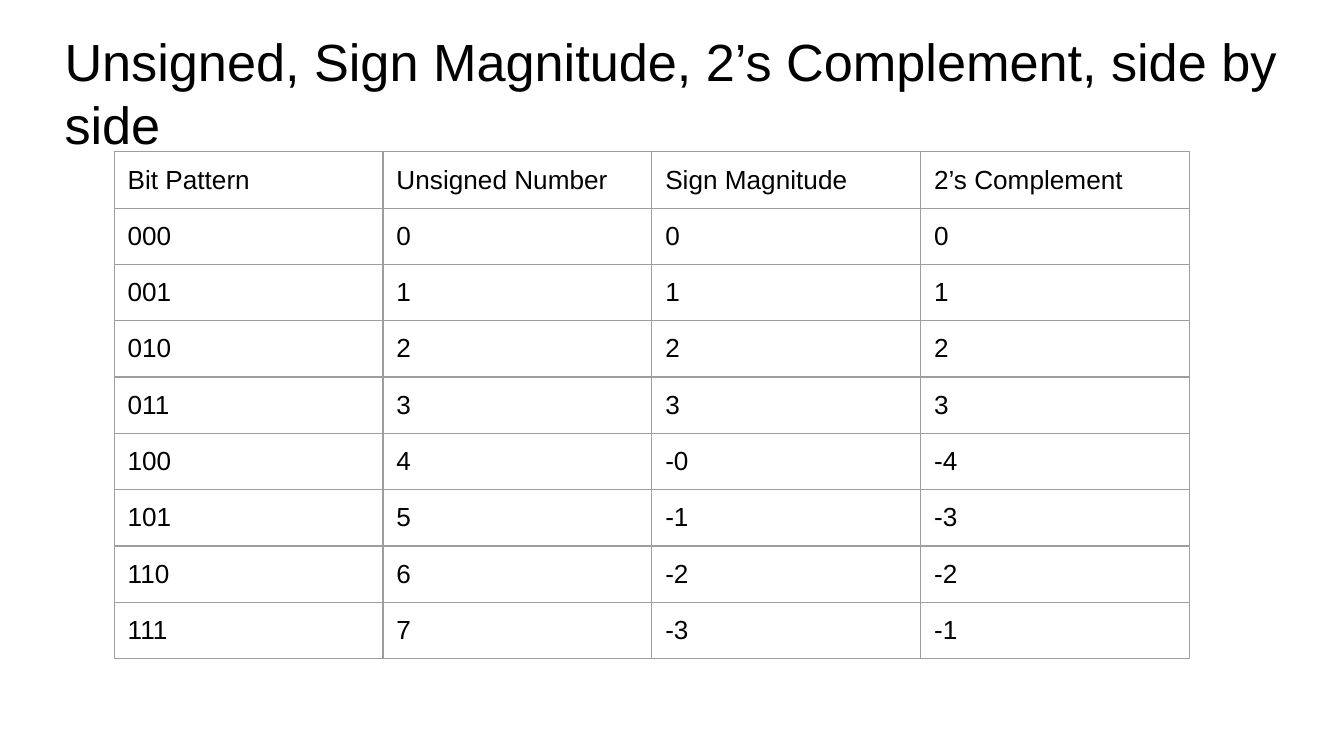
from lxml import etree
from pptx import Presentation
from pptx.dml.color import RGBColor
from pptx.enum.text import MSO_ANCHOR, MSO_AUTO_SIZE, PP_ALIGN
from pptx.oxml.ns import qn
from pptx.util import Inches, Pt

TOP = MSO_ANCHOR.TOP
LEFT = PP_ALIGN.LEFT
NO_AUTOFIT = MSO_AUTO_SIZE.NONE
TITLE_ONLY = 5

SLIDE_WIDTH = 10
SLIDE_HEIGHT = SLIDE_WIDTH * 9 / 16
COLORS = {"text": "000000", "border": "9E9E9E", "background": "FFFFFF"}
BITS = 3
HEADINGS = ["Bit Pattern", "Unsigned Number", "Sign Magnitude", "2’s Complement"]


def encodings(number):
    """Return the bit pattern and its value in each of the three systems."""
    half = 2 ** (BITS - 1)
    negative = number >= half
    sign_magnitude = f"-{number - half}" if negative else str(number)
    complement = number - 2 * half if negative else number
    return [f"{number:0{BITS}b}", str(number), sign_magnitude, str(complement)]


class SlideBuilder:
    font = "Arial"
    inset = Inches(0.1)
    border_width = Pt(0.75)

    def __init__(self, presentation):
        self.slide = presentation.slides.add_slide(presentation.slide_layouts[TITLE_ONLY])
        fill = self.slide.background.fill
        fill.solid()
        fill.fore_color.rgb = RGBColor.from_string(COLORS["background"])

    def format_text(self, holder, frame, size):
        """Set insets and anchor on holder, and font on its first paragraph."""
        margins = {f"margin_{side}": self.inset for side in ("left", "top", "right", "bottom")}
        for name, value in {**margins, "vertical_anchor": TOP}.items():
            setattr(holder, name, value)
        paragraph = frame.paragraphs[0]
        paragraph.alignment = LEFT
        run_font = paragraph.runs[0].font
        for name, value in {"name": self.font, "size": Pt(size)}.items():
            setattr(run_font, name, value)
        run_font.color.rgb = RGBColor.from_string(COLORS["text"])

    def title(self, text, left, top, width, height):
        title = self.slide.shapes.title
        box = {"left": left, "top": top, "width": width, "height": height}
        for name, value in box.items():
            setattr(title, name, Inches(value))
        frame = title.text_frame
        frame.text = text
        frame.word_wrap = True
        frame.auto_size = NO_AUTOFIT
        self.format_text(frame, frame, 28)
        frame.paragraphs[0].line_spacing = 1.0

    def border(self, cell):
        properties = cell._tc.get_or_add_tcPr()
        for position, side in enumerate(("lnL", "lnR", "lnT", "lnB")):
            line = etree.Element(qn(f"a:{side}"), w=str(self.border_width))
            fill = etree.SubElement(line, qn("a:solidFill"))
            etree.SubElement(fill, qn("a:srgbClr"), val=COLORS["border"])
            properties.insert(position, line)

    def table(self, rows, left, top, column_width, row_height):
        columns = len(rows[0])
        table = self.slide.shapes.add_table(
            len(rows), columns, Inches(left), Inches(top),
            Inches(column_width * columns), Inches(row_height * len(rows))).table
        table.first_row = table.horz_banding = False
        for row_index, row in enumerate(rows):
            for column_index, text in enumerate(row):
                cell = table.cell(row_index, column_index)
                cell.text = text
                self.format_text(cell, cell.text_frame, 14)
                cell.fill.background()
                self.border(cell)


def main():
    presentation = Presentation()
    presentation.slide_width = Inches(SLIDE_WIDTH)
    presentation.slide_height = Inches(SLIDE_HEIGHT)
    builder = SlideBuilder(presentation)
    builder.title("Unsigned, Sign Magnitude, 2’s Complement, side by side",
                  0.38, 0.12, 9.32, 0.63)
    number_rows = [encodings(number) for number in range(2 ** BITS)]
    builder.table([HEADINGS] + number_rows, 0.85, 1.13, 2, 0.41)
    presentation.save("out.pptx")


if __name__ == "__main__":
    main()
